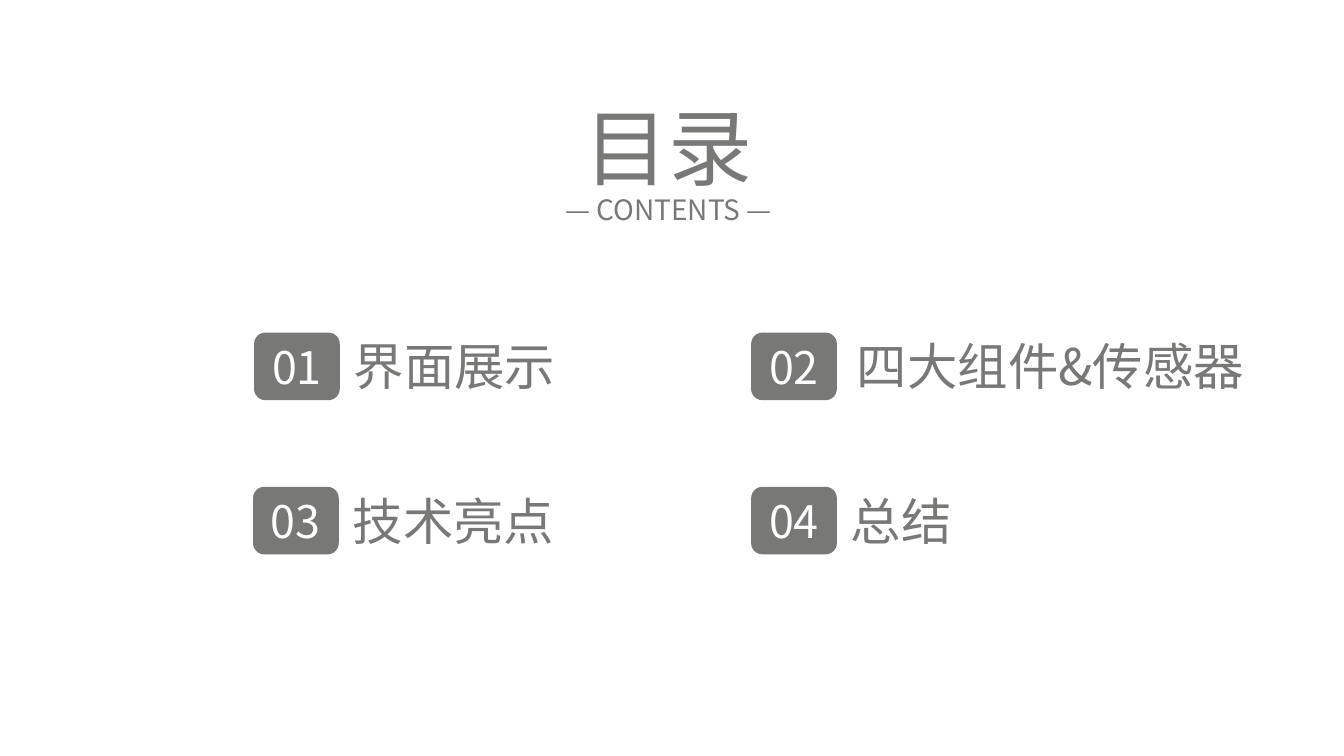
"""Build the contents slide with a heading and four numbered entries."""
from dataclasses import dataclass

from lxml import etree
from pptx import Presentation
from pptx.dml.color import RGBColor
from pptx.enum import shapes, text
from pptx.oxml import ns
from pptx.shapes.autoshape import Shape
from pptx.shapes.shapetree import GroupShapes
from pptx.util import Inches, Pt


@dataclass(frozen=True)
class Theme:
    """Colours, font and type sizes."""
    gray: RGBColor = RGBColor(0x78, 0x78, 0x77)
    white: RGBColor = RGBColor(0xFF, 0xFF, 0xFF)
    font: str = "Noto Sans CJK SC"
    title: int = 60
    subtitle: int = 20
    number: int = 32
    label: int = 36


@dataclass(frozen=True)
class Heading:
    """A centred heading line."""
    words: str
    left: float
    top: float
    width: float
    height: float
    size: int


@dataclass(frozen=True)
class Entry:
    """A contents entry with its badge and label positions."""
    label: str
    badge_left: float
    label_left: float
    label_width: float = 2.78


THEME = Theme()
HEADINGS = (
    Heading("目录", 5.61, 0.9, 2.05, 1.11, THEME.title),
    Heading("— CONTENTS —", 4.95, 1.86, 3.36, 0.44, THEME.subtitle),
)
ENTRIES = (
    Entry("界面展示", 2.52, 3.41),
    Entry("四大组件&传感器", 7.45, 8.4, 4.33),
    Entry("技术亮点", 2.51, 3.4),
    Entry("总结", 7.45, 8.34),
)
COLUMNS = 2
FIRST_ROW_TOP = 3.3
ROW_STEP = 1.53
BADGE_WIDTH = 0.85
BADGE_HEIGHT = 0.67
LABEL_HEIGHT = 0.71


def write(shape: Shape, words: str, size: int, color: RGBColor, align: text.PP_ALIGN) -> None:
    """Set and format the single line of a shape."""
    shape.text_frame.text = words
    shape.text_frame.word_wrap = True
    paragraph = shape.text_frame.paragraphs[0]
    paragraph.alignment = align
    run = paragraph.runs[0]
    run.font.size = Pt(size)
    run.font.color.rgb = color
    run.font.name = THEME.font
    properties = run._r.get_or_add_rPr()
    etree.SubElement(properties, ns.qn("a:ea"), typeface=THEME.font)


def add_line(group: GroupShapes, line: Heading, align: text.PP_ALIGN) -> None:
    """Add a gray text box that grows with its text."""
    box = group.add_textbox(
        Inches(line.left), Inches(line.top), Inches(line.width), Inches(line.height))
    write(box, line.words, line.size, THEME.gray, align)
    box.text_frame.auto_size = text.MSO_AUTO_SIZE.SHAPE_TO_FIT_TEXT


def add_entry(group: GroupShapes, entry: Entry, index: int) -> None:
    """Add a numbered badge and its label."""
    top = FIRST_ROW_TOP + index // COLUMNS * ROW_STEP
    badge = group.add_shape(
        shapes.MSO_SHAPE.ROUNDED_RECTANGLE, Inches(entry.badge_left), Inches(top),
        Inches(BADGE_WIDTH), Inches(BADGE_HEIGHT))
    badge.shadow.inherit = False
    badge.fill.solid()
    badge.fill.fore_color.rgb = THEME.gray
    badge.line.fill.background()
    badge.text_frame.vertical_anchor = text.MSO_ANCHOR.MIDDLE
    write(badge, f"{index + 1:02d}", THEME.number, THEME.white, text.PP_ALIGN.CENTER)
    label_top = top - (LABEL_HEIGHT - BADGE_HEIGHT) / 2
    label = Heading(entry.label, entry.label_left, label_top,
                    entry.label_width, LABEL_HEIGHT, THEME.label)
    add_line(group, label, text.PP_ALIGN.LEFT)


def main() -> None:
    """Build and save the presentation."""
    presentation = Presentation()
    presentation.slide_width = Inches(13.33)
    presentation.slide_height = Inches(7.5)
    slide = presentation.slides.add_slide(presentation.slide_layouts[6])
    heading_group = slide.shapes.add_group_shape().shapes
    for heading in HEADINGS:
        add_line(heading_group, heading, text.PP_ALIGN.CENTER)
    for index, entry in enumerate(ENTRIES):
        add_entry(slide.shapes.add_group_shape().shapes, entry, index)
    presentation.save("out.pptx")


if __name__ == "__main__":
    main()
